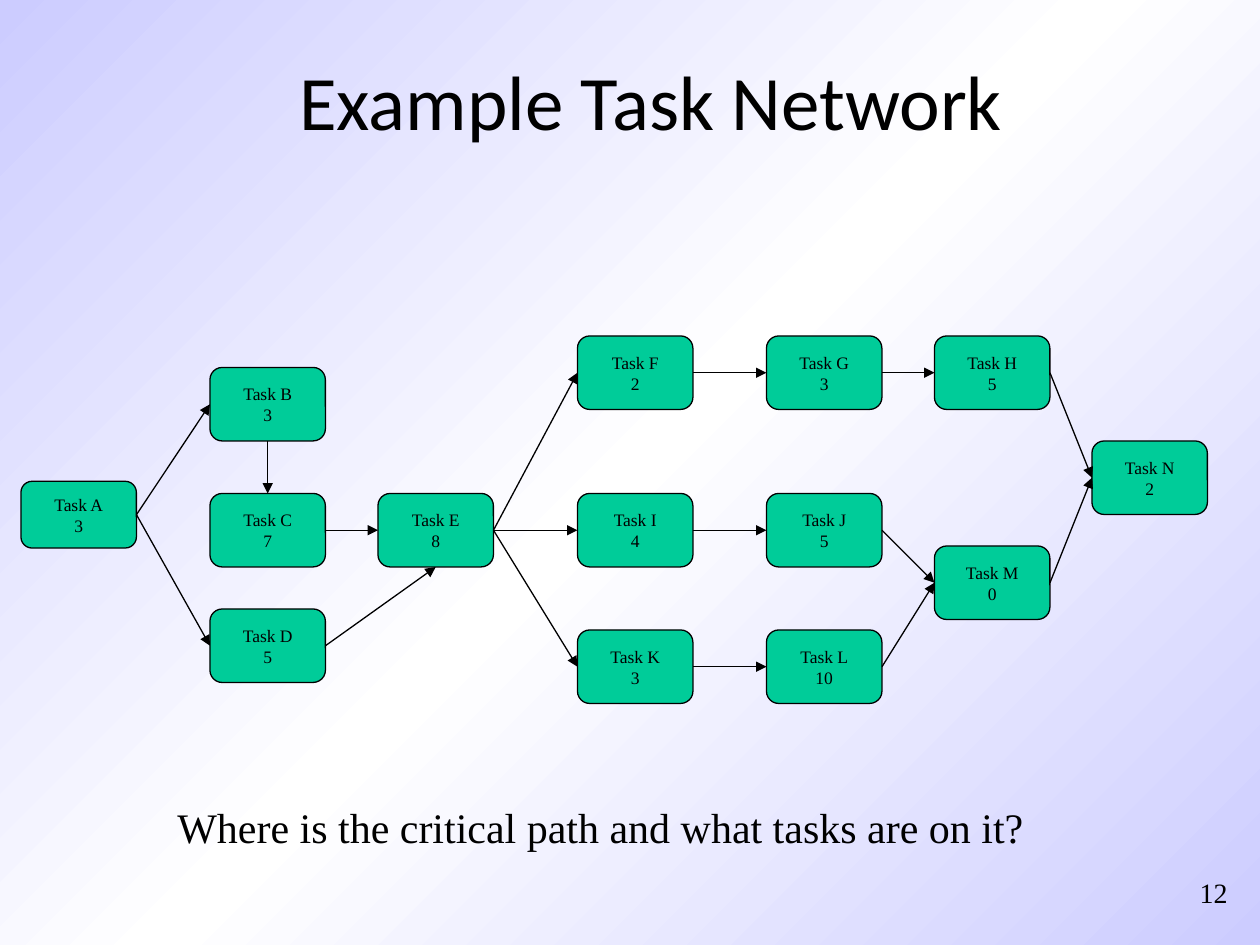
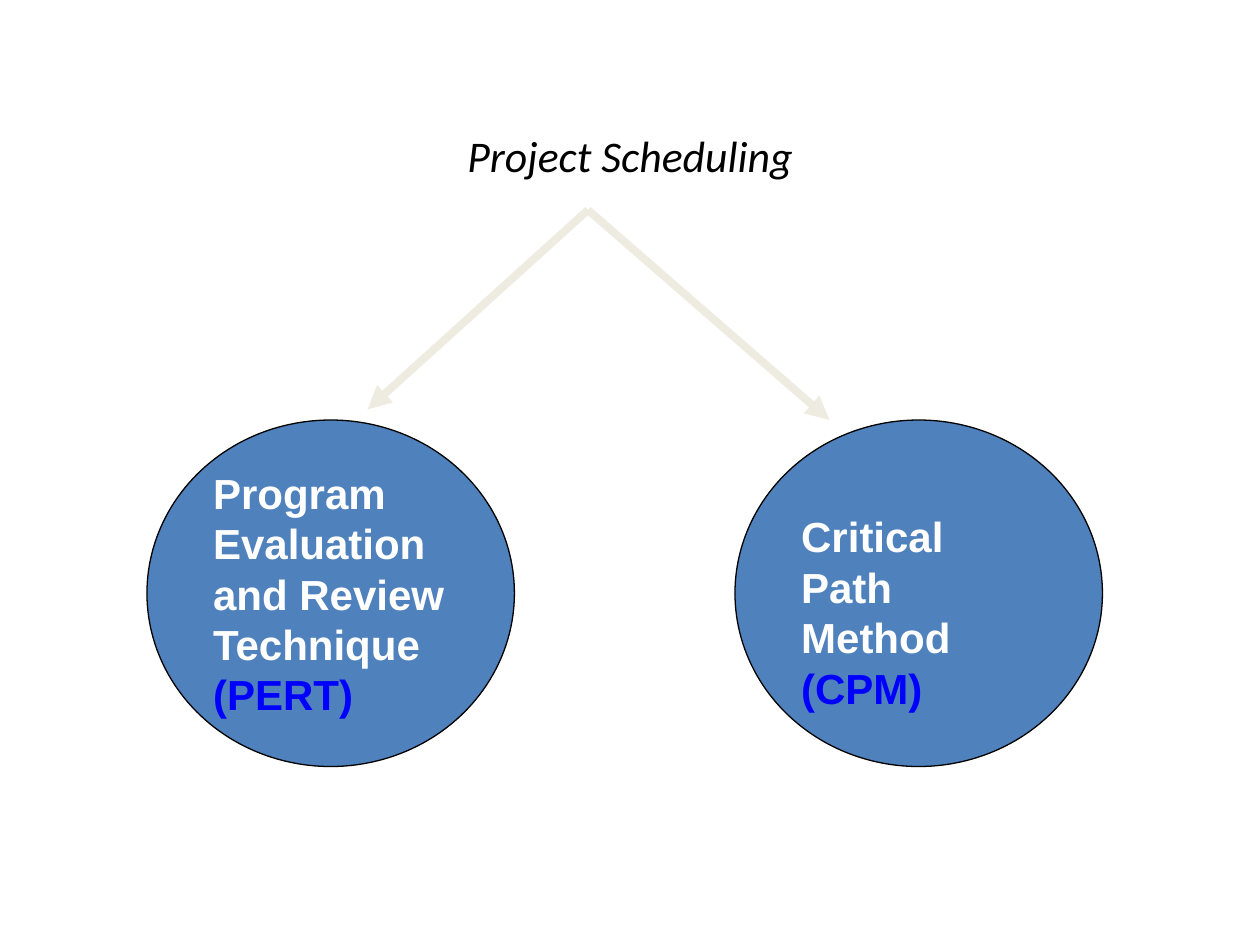
from copy import deepcopy
from dataclasses import dataclass

from lxml import etree
from pptx import Presentation
from pptx import util as u
from pptx.dml.color import RGBColor
from pptx.enum import shapes, text
from pptx.oxml.ns import qn

COLUMNS, ROWS = 120, 90
CELL = u.Inches(10) / COLUMNS
TITLE_ONLY = 5
TOP, LEFT, BOTTOM, RIGHT = range(4)  # connection sites of a rounded rectangle


@dataclass(frozen=True)
class Theme:
    black: str = "000000"
    white: str = "FFFFFF"
    lavender: str = "CCCCFF"
    task: str = "00CC99"
    method: str = "4F81BD"
    acronym: str = "0000FF"
    branch: str = "EEECE1"
    heading_font: str = "Calibri"
    body_font: str = "Times New Roman"
    method_font: str = "Arial"
    heading_size: float = 44
    subheading_size: float = 25
    body_size: float = 24
    number_size: float = 16
    task_size: float = 10
    thin: float = 0.75
    thick: float = 4.5


THEME = Theme()


@dataclass(frozen=True)
class Area:
    """A rectangle in grid columns and rows."""
    column: float
    row: float
    columns: float
    rows: float

    def box(self) -> list[int]:
        return [cells(n) for n in (self.column, self.row, self.columns, self.rows)]


@dataclass(frozen=True)
class Task:
    letter: str
    duration: int
    column: float
    row: float
    rows: float = 7

    def area(self) -> Area:
        return Area(self.column, self.row, 11, self.rows)


@dataclass(frozen=True)
class Link:
    before: str
    after: str
    leave: int = RIGHT
    enter: int = LEFT


@dataclass(frozen=True)
class Method:
    label: str
    acronym: str
    column: float
    drop: float  # extra rows above the text
    arrow_tip: tuple[float, float]


TASKS = [
    Task("A", 3, 2, 45.84, 6.36),
    Task("B", 3, 20, 35),
    Task("C", 7, 20, 47),
    Task("D", 5, 20, 58),
    Task("E", 8, 36, 47),
    Task("F", 2, 55, 32),
    Task("G", 3, 73, 32),
    Task("H", 5, 89, 32),
    Task("I", 4, 55, 47),
    Task("J", 5, 73, 47),
    Task("K", 3, 55, 60),
    Task("L", 10, 73, 60),
    Task("M", 0, 89, 52),
    Task("N", 2, 104, 42),
]
LINKS = [Link("B", "C", BOTTOM, TOP), Link("D", "E", RIGHT, BOTTOM)] + [
    Link(*pair) for pair in
    "AB AD CE EF EI EK FG GH HN IJ JM KL LM MN".split()
]
METHODS = [
    Method("Program Evaluation and Review Technique ", "(PERT)", 14, 0, (35, 39)),
    Method("Critical Path Method ", "(CPM)", 70, 3.5, (79, 40)),
]
FORK = (56, 20)


def cells(count: float) -> int:
    return round(count * CELL)


def rgb(color: str) -> RGBColor:
    return RGBColor.from_string(color)


def style(paragraph, font: str, size: float, color: str = THEME.black,
          align=text.PP_ALIGN.CENTER) -> None:
    paragraph.alignment = align
    paragraph.font.name = font
    paragraph.font.size = u.Pt(size)
    paragraph.font.color.rgb = rgb(color)


def add_titled_slide(deck, title: str, area: Area, size: float):
    slide = deck.slides.add_slide(deck.slide_layouts[TITLE_ONLY])
    heading = slide.shapes.title
    heading.left, heading.top, heading.width, heading.height = area.box()
    heading.text_frame.text = title
    heading.text_frame.vertical_anchor = text.MSO_ANCHOR.MIDDLE
    style(heading.text_frame.paragraphs[0], THEME.heading_font, size)
    return slide


def paint_diagonal_gradient(slide) -> None:
    fill = slide.background.fill
    fill.gradient()
    fill.gradient_angle = 135
    stops = slide.element.find(".//" + qn("a:gsLst"))
    stops.insert(1, deepcopy(stops[0]))
    colors = (THEME.lavender, THEME.white, THEME.lavender)
    for stop, position, color in zip(fill.gradient_stops, (0, 0.5, 1), colors):
        stop.position = position
        stop.color.rgb = rgb(color)


def add_outlined(slide, kind, area: Area, color: str):
    shape = slide.shapes.add_shape(kind, *area.box())
    shape.shadow.inherit = False
    shape.fill.solid()
    shape.fill.fore_color.rgb = rgb(color)
    shape.line.color.rgb = rgb(THEME.black)
    shape.line.width = u.Pt(THEME.thin)
    shape.text_frame.vertical_anchor = text.MSO_ANCHOR.MIDDLE
    return shape


def add_arrow(slide, color: str, width: float,
              start: tuple[float, float] = (0, 0), end: tuple[float, float] = (0, 0)):
    arrow = slide.shapes.add_connector(
        shapes.MSO_CONNECTOR.STRAIGHT, *map(cells, start + end))
    arrow.line.color.rgb = rgb(color)
    arrow.line.width = u.Pt(width)
    line = arrow.line._get_or_add_ln()
    etree.SubElement(line, qn("a:tailEnd"), type="triangle")
    etree.SubElement(arrow.element.spPr, qn("a:effectLst"))
    return arrow


def add_text(slide, words: str, area: Area, size: float, align, anchor) -> None:
    frame = slide.shapes.add_textbox(*area.box()).text_frame
    frame.text = words
    frame.word_wrap = False
    frame.vertical_anchor = anchor
    style(frame.paragraphs[0], THEME.body_font, size, align=align)


def add_task(slide, task: Task):
    box = add_outlined(slide, shapes.MSO_SHAPE.ROUNDED_RECTANGLE, task.area(), THEME.task)
    box.text_frame.word_wrap = False
    box.text_frame.text = f"Task {task.letter}\n{task.duration}"
    for paragraph in box.text_frame.paragraphs:
        style(paragraph, THEME.body_font, THEME.task_size)
    return box


def add_method(slide, method: Method) -> None:
    area = Area(method.column, 40, 35, 33)
    frame = add_outlined(slide, shapes.MSO_SHAPE.OVAL, area, THEME.method).text_frame
    frame.word_wrap = True
    frame.margin_top = u.Inches(0.05) + cells(method.drop)
    paragraph = frame.paragraphs[0]
    style(paragraph, THEME.method_font, THEME.body_size, THEME.white, text.PP_ALIGN.LEFT)
    paragraph.font.bold = True
    for words, color in ((method.label, THEME.white), (method.acronym, THEME.acronym)):
        run = paragraph.add_run()
        run.text = words
        run.font.color.rgb = rgb(color)
    add_arrow(slide, THEME.branch, THEME.thick, FORK, method.arrow_tip)


def build_task_network(deck) -> None:
    slide = add_titled_slide(deck, "Example Task Network", Area(11, 2, 102, 15),
                             THEME.heading_size)
    paint_diagonal_gradient(slide)
    boxes = {task.letter: add_task(slide, task) for task in TASKS}
    for link in LINKS:
        arrow = add_arrow(slide, THEME.black, THEME.thin)
        arrow.begin_connect(boxes[link.before], link.leave)
        arrow.end_connect(boxes[link.after], link.enter)
    add_text(slide, "Where is the critical path and what tasks are on it?",
             Area(15.6, 75.7, 83.2, 6), THEME.body_size,
             text.PP_ALIGN.CENTER, text.MSO_ANCHOR.TOP)
    add_text(slide, "12", Area(112.1, 82, 6, 6), THEME.number_size,
             text.PP_ALIGN.RIGHT, text.MSO_ANCHOR.MIDDLE)


def build_scheduling_methods(deck) -> None:
    slide = add_titled_slide(deck, "Project Scheduling", Area(9, 9.1, 102, 11.4),
                             THEME.subheading_size)
    slide.shapes.title.text_frame.paragraphs[0].font.italic = True
    for method in METHODS:
        add_method(slide, method)


def main() -> None:
    deck = Presentation()
    deck.slide_width, deck.slide_height = cells(COLUMNS), cells(ROWS)
    build_task_network(deck)
    build_scheduling_methods(deck)
    deck.save("out.pptx")


if __name__ == "__main__":
    main()
